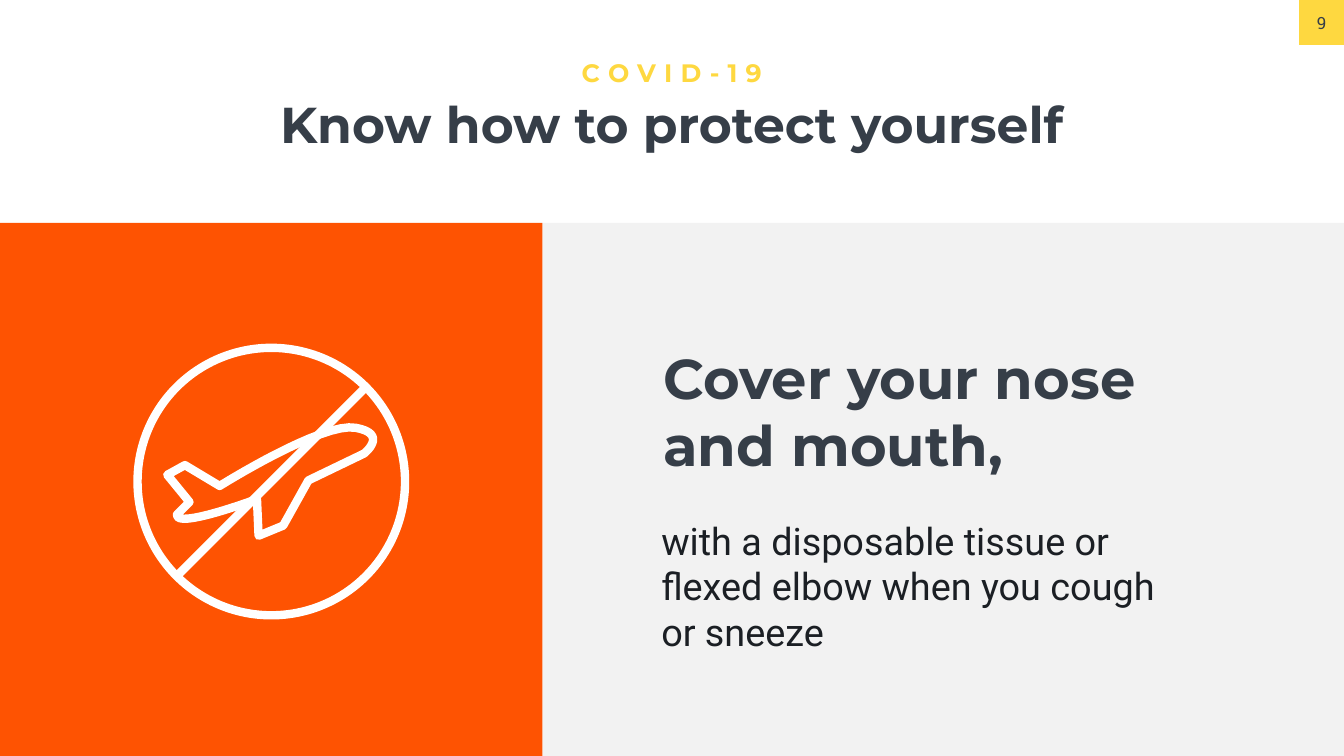
import math

import lxml.etree
import pptx
import pptx.dml.color
import pptx.enum.shapes
import pptx.enum.text
import pptx.oxml.ns
import pptx.util

Cm = pptx.util.Cm
Align = pptx.enum.text.PP_ALIGN
Anchor = pptx.enum.text.MSO_ANCHOR
Shape = pptx.enum.shapes.MSO_SHAPE
qn = pptx.oxml.ns.qn

# Content: places are left, top, width, height in cm
KICKER = "COVID-19"
TITLE = "Know how to protect yourself"
HEADING = "Cover your nose and mouth,"
ADVICE = "with a disposable tissue or flexed elbow when you cough or sneeze"
PAGE_NUMBER = "9"

SLIDE_W, SLIDE_H = 67.72, 38.1
PANEL_TOP, PANEL_SPLIT = 11.23, 27.33
TAG_SIZE = 2.26
KICKER_BOX = (28.75, 2.74, 10.21, 1.8)
TITLE_BOX = (10.19, 4.55, 47.32, 3.33)
HEADING_BOX = (33.17, 17.17, 29.18, 7.09)
ADVICE_BOX = (33.07, 25.96, 27.03, 7.19)

# Icon: one point per straight edge, three (two controls and an end) per curve
SIGN_X, SIGN_Y, SIGN_RADIUS = 13.67, 24.27, 6.74
PLANE = [
    [(11.07, 24.49)],
    [(11.07, 24.49), (16.26, 21.23), (17.93, 21.56)],
    [(19.61, 21.87), (18.34, 22.86), (18.34, 22.86)],
    [(15.54, 24.21)], [(14.27, 26.49)], [(13.03, 27.0)], [(12.95, 25.15)],
    [(12.95, 25.15), (8.81, 26.7), (8.92, 25.93)],
    [(9.55, 25.3)], [(8.43, 23.93)], [(9.32, 23.44)],
]
CURVE_STEPS = 16

THEME = {
    "yellow": "FED840", "orange": "FE5302", "gray": "F2F2F2",
    "white": "FFFFFF", "slate": "363E48", "ink": "1B1F24", "stroke": 12,
    # font, size, colour, bold, letter spacing in points
    "kicker": ("Montserrat", 36, "yellow", True, 12),
    "title": ("Montserrat", 72, "slate", True, 0),
    "heading": ("Montserrat", 80, "slate", True, 0),
    "advice": ("Roboto", 54, "ink", False, 0),
    "page": ("Roboto Slab", 24, "slate", False, 0),
}


def color(name):
    return pptx.dml.color.RGBColor.from_string(THEME[name])


def write(frame, text, style, align, anchor=Anchor.TOP, wrap=True):
    font_name, size, color_name, bold, spacing = THEME[style]
    frame.auto_size = pptx.enum.text.MSO_AUTO_SIZE.NONE
    frame.word_wrap = wrap
    frame.vertical_anchor = anchor
    paragraph = frame.paragraphs[0]
    paragraph.alignment = align
    run = paragraph.add_run()
    run.text = text
    run.font.name = font_name
    run.font.size = pptx.util.Pt(size)
    run.font.bold = bold
    run.font.color.rgb = color(color_name)
    if spacing:
        run.font._element.set("spc", str(spacing * 100))


def add_text(slide, box, text, style, align=Align.LEFT, wrap=True):
    label = slide.shapes.add_textbox(*map(Cm, box))
    write(label.text_frame, text, style, align, wrap=wrap)


def add_panel(slide, box, color_name):
    panel = slide.shapes.add_shape(Shape.RECTANGLE, *map(Cm, box))
    panel.shadow.inherit = False
    panel.fill.solid()
    panel.fill.fore_color.rgb = color(color_name)
    panel.line.fill.background()
    return panel


def stroke(line):
    line.color.rgb = color("white")
    line.width = pptx.util.Pt(THEME["stroke"])
    lxml.etree.SubElement(line._get_or_add_ln(), qn("a:round"))


def outline(shape):
    shape.shadow.inherit = False
    shape.fill.background()
    stroke(shape.line)


def flatten(segments):
    """Turn edges and cubic curves into one list of points."""
    points = []
    for segment in segments:
        if len(segment) == 1:
            points += segment
            continue
        controls = [points[-1], *segment]
        for step in range(1, CURVE_STEPS + 1):
            t = step / CURVE_STEPS
            weights = [math.comb(3, i) * t**i * (1 - t)**(3 - i) for i in range(4)]
            points.append(tuple(sum(w * c[axis] for w, c in zip(weights, controls))
                                for axis in (0, 1)))
    return points


def add_no_travel_icon(slide):
    # Airplane
    points = [(Cm(x), Cm(y)) for x, y in flatten(PLANE)]
    builder = slide.shapes.build_freeform(*points[0])
    builder.add_line_segments(points[1:], close=True)
    outline(builder.convert_to_shape())
    # Ring
    outline(slide.shapes.add_shape(
        Shape.OVAL, Cm(SIGN_X - SIGN_RADIUS), Cm(SIGN_Y - SIGN_RADIUS),
        Cm(2 * SIGN_RADIUS), Cm(2 * SIGN_RADIUS)))
    # Slash across the ring at 45 degrees
    reach = SIGN_RADIUS / math.sqrt(2)
    slash = slide.shapes.add_connector(
        pptx.enum.shapes.MSO_CONNECTOR.STRAIGHT,
        Cm(SIGN_X + reach), Cm(SIGN_Y - reach),
        Cm(SIGN_X - reach), Cm(SIGN_Y + reach))
    stroke(slash.line)
    lxml.etree.SubElement(slash._element.spPr, qn("a:effectLst"))


def main():
    deck = pptx.Presentation()
    deck.slide_width, deck.slide_height = Cm(SLIDE_W), Cm(SLIDE_H)
    slide = deck.slides.add_slide(deck.slide_layouts[5])

    # Page number tag
    tag = add_panel(slide, (SLIDE_W - TAG_SIZE, 0, TAG_SIZE, TAG_SIZE), "yellow")
    write(tag.text_frame, PAGE_NUMBER, "page", Align.CENTER, Anchor.MIDDLE, wrap=False)

    # Header
    title = slide.shapes.title
    title.left, title.top, title.width, title.height = map(Cm, TITLE_BOX)
    write(title.text_frame, TITLE, "title", Align.CENTER)
    add_text(slide, KICKER_BOX, KICKER, "kicker", Align.CENTER, wrap=False)

    # Panels
    panel_height = SLIDE_H - PANEL_TOP
    add_panel(slide, (PANEL_SPLIT, PANEL_TOP, SLIDE_W - PANEL_SPLIT, panel_height), "gray")
    add_panel(slide, (0, PANEL_TOP, PANEL_SPLIT, panel_height), "orange")

    # Advice and icon
    add_text(slide, HEADING_BOX, HEADING, "heading")
    add_text(slide, ADVICE_BOX, ADVICE, "advice")
    add_no_travel_icon(slide)

    deck.save("out.pptx")


if __name__ == "__main__":
    main()
